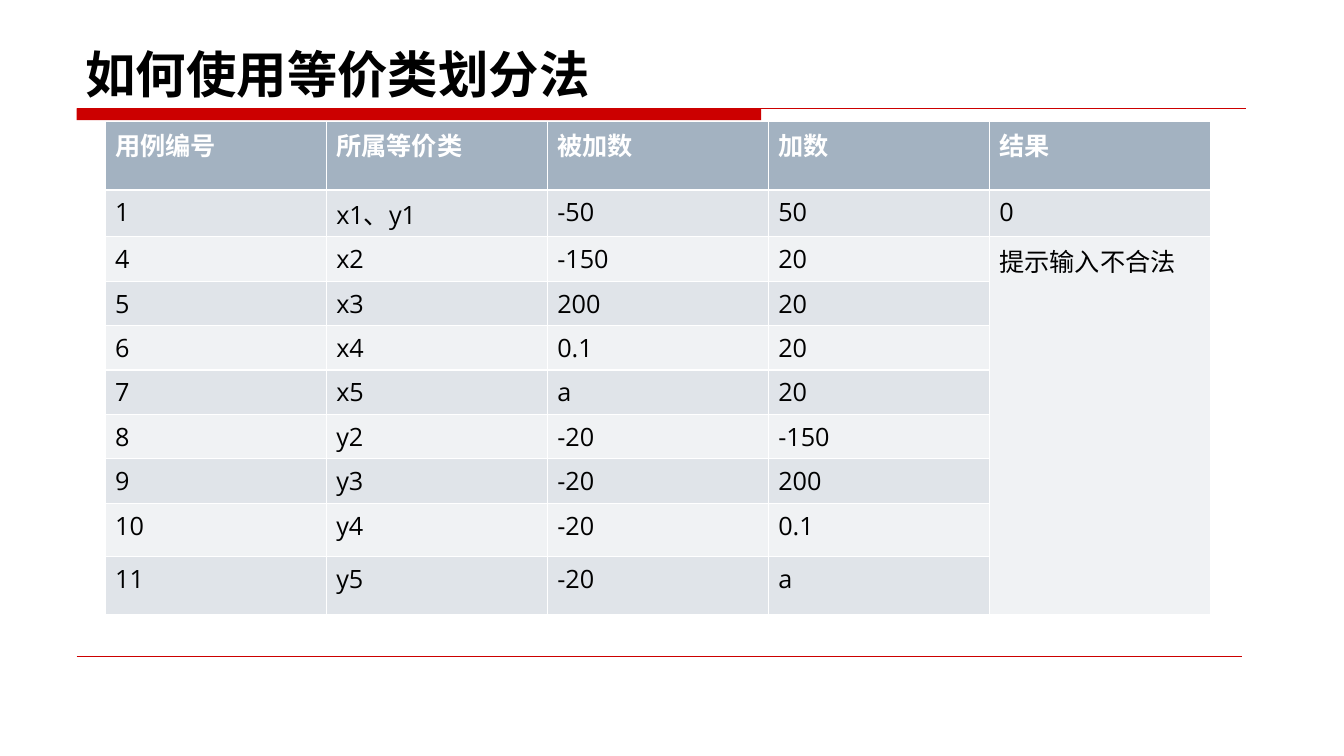
import pptx
import pptx.dml.color
import pptx.enum.shapes
import pptx.enum.text
import pptx.oxml
import pptx.oxml.ns
import pptx.util
from pptx.util import Cm

CJK_FONT = "Noto Sans CJK SC"


def color(hex_value):
    return pptx.dml.color.RGBColor.from_string(hex_value)


def format_text(paragraph, size, latin_font, hex_value, bold):
    font = paragraph.font
    font.size = pptx.util.Pt(size)
    font.name = latin_font
    font.bold = bold
    font.color.rgb = color(hex_value)
    # East Asian typeface follows the Latin one
    latin = paragraph._p.pPr.find(".//" + pptx.oxml.ns.qn("a:latin"))
    east_asian = pptx.oxml.parse_xml(
        f'<a:ea {pptx.oxml.ns.nsdecls("a")} typeface="{CJK_FONT}"/>')
    latin.addnext(east_asian)


presentation = pptx.Presentation()
presentation.slide_width = Cm(33.87)
presentation.slide_height = Cm(19.05)
slide = presentation.slides.add_slide(presentation.slide_layouts[5])

# Red bar under the title
bar = slide.shapes.add_shape(
    pptx.enum.shapes.MSO_SHAPE.RECTANGLE, Cm(1.93), Cm(2.73), Cm(17.25), Cm(0.3))
bar.shadow.inherit = False
bar.fill.solid()
bar.fill.fore_color.rgb = color("CC0000")
bar.line.fill.background()

# Thin rules: right edge, height on the slide, weight
for right, top, weight in [(31.39, 2.73, 0.75), (31.29, 16.54, 0.25)]:
    rule = slide.shapes.add_connector(
        pptx.enum.shapes.MSO_CONNECTOR.STRAIGHT, Cm(1.93), Cm(top), Cm(right), Cm(top))
    rule.line.color.rgb = color("CC0000")
    rule.line.width = pptx.util.Pt(weight)
    rule._element.spPr.append(
        pptx.oxml.parse_xml(f'<a:effectLst {pptx.oxml.ns.nsdecls("a")}/>'))

# Title
title = slide.shapes.title
title.left, title.top, title.width, title.height = Cm(1.9), Cm(0.74), Cm(29.64), Cm(2)
title.text_frame.text = "如何使用等价类划分法"
title.text_frame.vertical_anchor = pptx.enum.text.MSO_ANCHOR.BOTTOM
title_paragraph = title.text_frame.paragraphs[0]
title_paragraph.alignment = pptx.enum.text.PP_ALIGN.LEFT
format_text(title_paragraph, 36, CJK_FONT, "000000", True)

# Test case table
test_cases = [
    ["用例编号", "所属等价类", "被加数", "加数", "结果"],
    ["1", "x1、y1", "-50", "50", "0"],
    ["4", "x2", "-150", "20", "提示输入不合法"],
    ["5", "x3", "200", "20", ""],
    ["6", "x4", "0.1", "20", ""],
    ["7", "x5", "a", "20", ""],
    ["8", "y2", "-20", "-150", ""],
    ["9", "y3", "-20", "200", ""],
    ["10", "y4", "-20", "0.1", ""],
    ["11", "y5", "-20", "a", ""],
]
row_heights = [1.73] + [1.03] * 7 + [1.35, 1.45]
table = slide.shapes.add_table(
    len(test_cases), 5, Cm(2.65), Cm(3.06), Cm(27.85), Cm(sum(row_heights))).table
for column in table.columns:
    column.width = Cm(5.57)

for row_index, values in enumerate(test_cases):
    table.rows[row_index].height = Cm(row_heights[row_index])
    is_header = row_index == 0
    band_fill = "E0E4E9" if row_index % 2 else "F0F2F4"
    for column_index, value in enumerate(values):
        cell = table.cell(row_index, column_index)
        cell.fill.solid()
        cell.fill.fore_color.rgb = color("A3B2C1" if is_header else band_fill)
        cell.text = value
        format_text(cell.text_frame.paragraphs[0], 18, "Open Sans",
                    "FFFFFF" if is_header else "000000", is_header)

# All invalid classes share one result
table.cell(2, 4).merge(table.cell(9, 4))

presentation.save("out.pptx")
